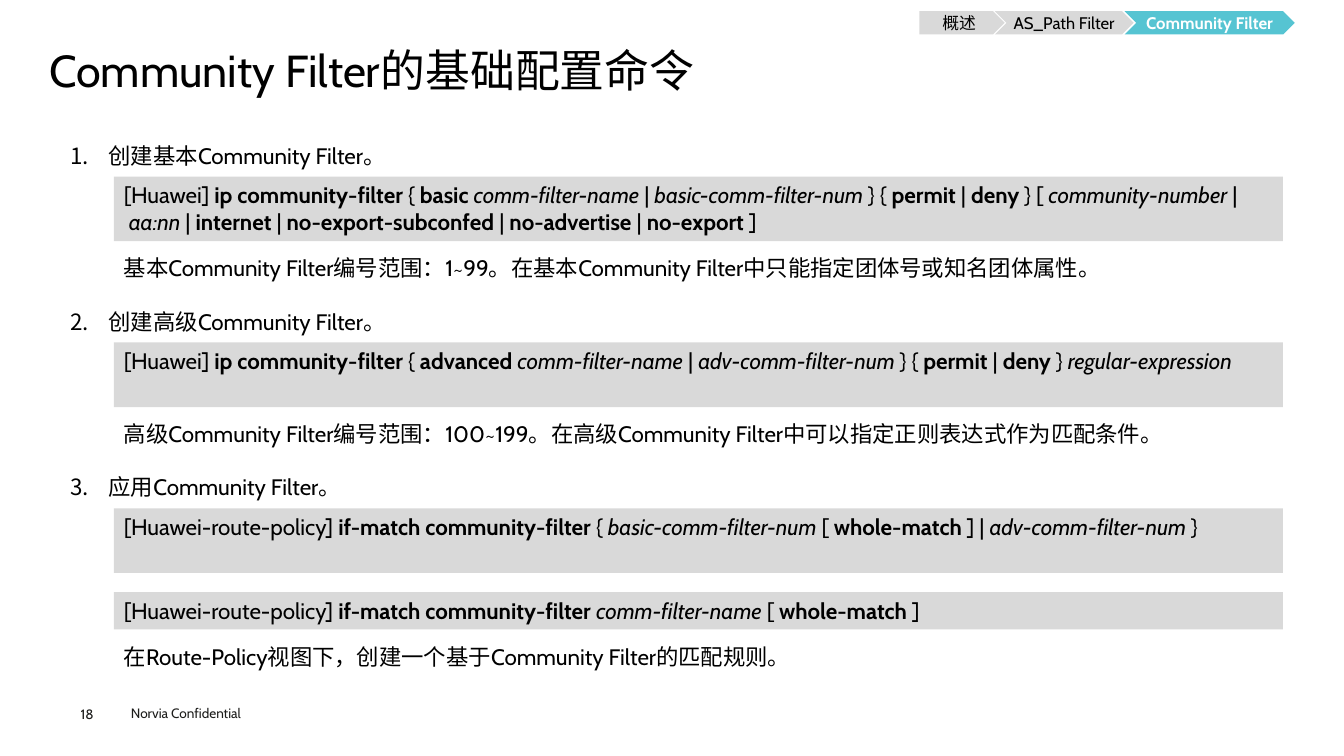
import pptx
import pptx.util
import pptx.dml.color
import pptx.enum.shapes
import pptx.enum.text
import lxml.etree

Cm = pptx.util.Cm
Pt = pptx.util.Pt
RGBColor = pptx.dml.color.RGBColor
SHAPE = pptx.enum.shapes.MSO_SHAPE
ALIGN = pptx.enum.text.PP_ALIGN
ANCHOR = pptx.enum.text.MSO_ANCHOR

BLACK = RGBColor(0x00, 0x00, 0x00)
WHITE = RGBColor(0xFF, 0xFF, 0xFF)
GREY = RGBColor(0xD9, 0xD9, 0xD9)
TEAL = RGBColor(0x56, 0xC4, 0xD2)
INK = RGBColor(0x1D, 0x1D, 0x1B)

TITLE = "Community Filter的基础配置命令"
TABS = [
    ("概述", SHAPE.PENTAGON, 23.17, 2.15, GREY, BLACK),
    ("AS_Path Filter", SHAPE.CHEVRON, 25.07, 3.5, GREY, BLACK),
    ("*Community Filter*", SHAPE.CHEVRON, 28.34, 4.29, TEAL, WHITE),
]
# In commands, * marks bold, / marks italic and · a no-break space.
STEPS = [
    {
        "head": "创建基本Community Filter。",
        "bars": [(1.63, "[Huawei] *ip community-filter*·{·*basic·*/comm-filter-name/·|·"
                  "/basic-comm-filter-num/·} {·*permit*·|·*deny*·} [·"
                  "/community-number/·|·/aa:nn/·|·*internet*·|·"
                  "*no-export-subconfed*·|·*no-advertise*·|·*no-export*·]")],
        "note": "基本Community Filter编号范围：1~99。"
                "在基本Community Filter中只能指定团体号或知名团体属性。",
    },
    {
        "head": "创建高级Community Filter。",
        "bars": [(1.63, "[Huawei] *ip community-filter*·{·*advanced·*/comm-filter-name/·|·"
                  "/adv-comm-filter-num/·} {·*permit*·|·*deny*·}·/regular-expression/")],
        "note": "高级Community Filter编号范围：100~199。"
                "在高级Community Filter中可以指定正则表达式作为匹配条件。",
    },
    {
        "head": "应用Community Filter。",
        "bars": [(1.63, "[Huawei-route-policy] *if-match community-filter*·{·"
                  "/basic-comm-filter-num/·[·*whole-match*·] |·/adv-comm-filter-num/·}"),
                 (0.94, "[Huawei-route-policy] *if-match community-filter·*"
                  "/comm-filter-name/·[·*whole-match*·]")],
        "note": "在Route-Policy视图下，创建一个基于Community Filter的匹配规则。",
    },
]
FOOT = [("18", 2.03, 17.78, 1.4, 0.41, 0), ("Norvia Confidential", 3.05, 17.65, 4.06, 0.69, None)]

TOP, STEP = 3.45, 4.18
LEFT, WIDE = 2.87, 29.46
GAP = 0.48

deck = pptx.Presentation()
deck.slide_width = Cm(33.87)
deck.slide_height = Cm(19.05)
slide = deck.slides.add_slide(deck.slide_layouts[6])


def write(text, box, kind=None, fill=None, size=16, color=BLACK, pad=None,
          align=ALIGN.LEFT, anchor=ANCHOR.TOP, space=None, start=None):
    place = [Cm(v) for v in box]
    if kind is None:
        shape = slide.shapes.add_textbox(*place)
    else:
        shape = slide.shapes.add_shape(kind, *place)
        shape.shadow.inherit = False
        shape.fill.solid()
        shape.fill.fore_color.rgb = fill
        shape.line.fill.background()
    frame = shape.text_frame
    frame.word_wrap = True
    frame.vertical_anchor = anchor
    if pad is not None:
        frame.margin_left = frame.margin_right = Cm(pad)
        frame.margin_top = frame.margin_bottom = Cm(pad)
    para = frame.paragraphs[0]
    para.alignment = align
    if space is not None:
        para.line_spacing = space
    if start is not None:
        props = para._p.get_or_add_pPr()
        props.set("marL", str(Cm(0.97)))
        props.set("indent", str(-Cm(0.97)))
        space_name = "{http://schemas.openxmlformats.org/drawingml/2006/main}"
        mark = lxml.etree.SubElement(props, space_name + "buAutoNum")
        mark.set("type", "arabicPeriod")
        mark.set("startAt", str(start))
    for i, part in enumerate(text.split("*")):
        for j, piece in enumerate(part.split("/")):
            if not piece:
                continue
            run = para.add_run()
            run.text = piece.replace("·", chr(160))
            run.font.name = "Cabin"
            run.font.size = Pt(size)
            run.font.color.rgb = color
            run.font.bold = i % 2 == 1
            run.font.italic = j % 2 == 1
    return shape


write(TITLE, (1.24, 1.24, 31.37, 1.37), size=32, pad=0, space=0.9)

for text, kind, left, wide, fill, color in TABS:
    write(text, (left, 0.28, wide, 0.59), kind=kind, fill=fill, size=12,
          color=color, pad=0, align=ALIGN.CENTER, anchor=ANCHOR.MIDDLE)

for n, step in enumerate(STEPS):
    top = TOP + n * STEP
    write(step["head"], (1.52, top, 30.81, 0.94), start=n + 1)
    top += 1
    for high, text in step["bars"]:
        write(text, (LEFT, top, WIDE, high), kind=SHAPE.RECTANGLE, fill=GREY)
        top += high + GAP
    write(step["note"], (LEFT, top - GAP + 0.04, WIDE, 1.1), space=Pt(24))

for text, left, top, wide, high, pad in FOOT:
    write(text, (left, top, wide, high), size=9.7, color=INK, pad=pad)

deck.save("out.pptx")
